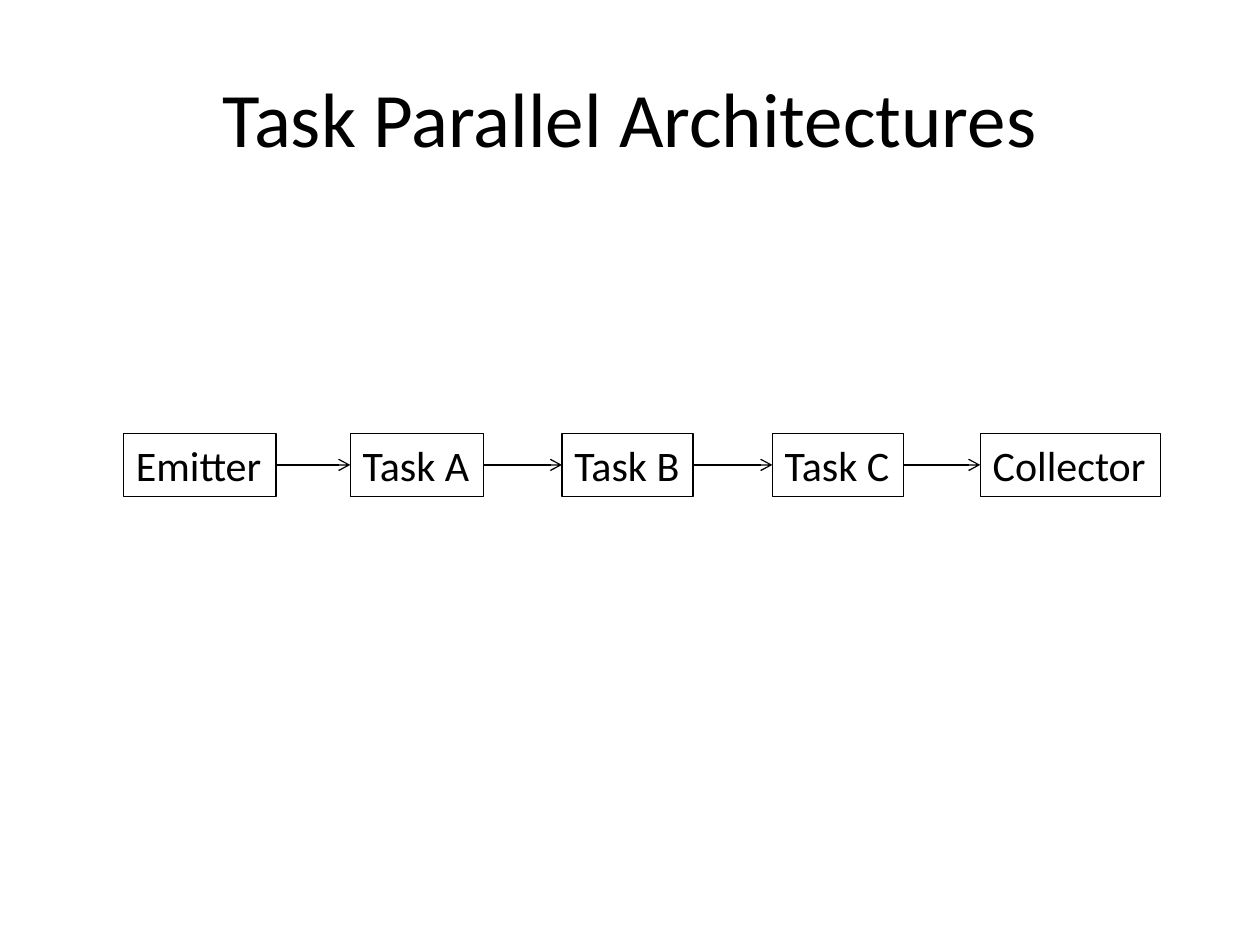
from itertools import pairwise

from lxml.etree import SubElement
from pptx import Presentation
from pptx.dml.color import RGBColor
from pptx.enum.shapes import MSO_CONNECTOR, MSO_SHAPE
from pptx.enum.text import MSO_ANCHOR, MSO_AUTO_SIZE, PP_ALIGN
from pptx.oxml.ns import qn
from pptx.util import Inches, Pt

BLACK = RGBColor(0, 0, 0)
FONT = "Calibri"
STAGE_TOP, STAGE_HEIGHT = 3.44, 0.5
STAGES = [
    ("Emitter", 0.98, 1.21),
    ("Task A", 2.78, 1.06),
    ("Task B", 4.46, 1.04),
    ("Task C", 6.13, 1.04),
    ("Collector", 7.78, 1.43),
]


def write_text(shape, text, size, alignment, anchor):
    """Fill a shape with one formatted line of text."""
    text_frame = shape.text_frame
    text_frame.text = text
    text_frame.vertical_anchor = anchor
    paragraph = text_frame.paragraphs[0]
    paragraph.alignment = alignment
    font = paragraph.runs[0].font
    font.name = FONT
    font.size = Pt(size)
    font.color.rgb = BLACK


def style_line(line):
    """Give an outline or connector the thin black stroke."""
    line.color.rgb = BLACK
    line.width = Pt(0.75)


def add_title(slide, text):
    """Place and fill the title placeholder."""
    title = slide.shapes.title
    title.left, title.top = Inches(0.5), Inches(0.3)
    title.width, title.height = Inches(9), Inches(1.25)
    write_text(title, text, 44, PP_ALIGN.CENTER, MSO_ANCHOR.MIDDLE)


def add_stage(slide, text, left, width):
    """Add one outlined box of the pipeline."""
    stage = slide.shapes.add_shape(
        MSO_SHAPE.RECTANGLE,
        Inches(left), Inches(STAGE_TOP), Inches(width), Inches(STAGE_HEIGHT),
    )
    stage.shadow.inherit = False
    stage.fill.background()
    style_line(stage.line)
    write_text(stage, text, 24, PP_ALIGN.LEFT, MSO_ANCHOR.TOP)
    stage.text_frame.word_wrap = False
    stage.text_frame.auto_size = MSO_AUTO_SIZE.SHAPE_TO_FIT_TEXT
    return stage


def add_arrow(slide, source, target):
    """Join the right side of one stage to the left side of the next."""
    arrow = slide.shapes.add_connector(MSO_CONNECTOR.STRAIGHT, 0, 0, 0, 0)
    arrow.begin_connect(source, 3)
    arrow.end_connect(target, 1)
    style_line(arrow.line)
    SubElement(arrow.line._get_or_add_ln(), qn("a:tailEnd"), type="arrow")
    SubElement(arrow._element.spPr, qn("a:effectLst"))


def main():
    """Build and save the pipeline slide."""
    presentation = Presentation()
    presentation.slide_width, presentation.slide_height = Inches(10), Inches(7.5)
    slide = presentation.slides.add_slide(presentation.slide_layouts[5])
    add_title(slide, "Task Parallel Architectures")
    stages = [add_stage(slide, *stage) for stage in STAGES]
    for source, target in pairwise(stages):
        add_arrow(slide, source, target)
    presentation.save("out.pptx")


if __name__ == "__main__":
    main()
